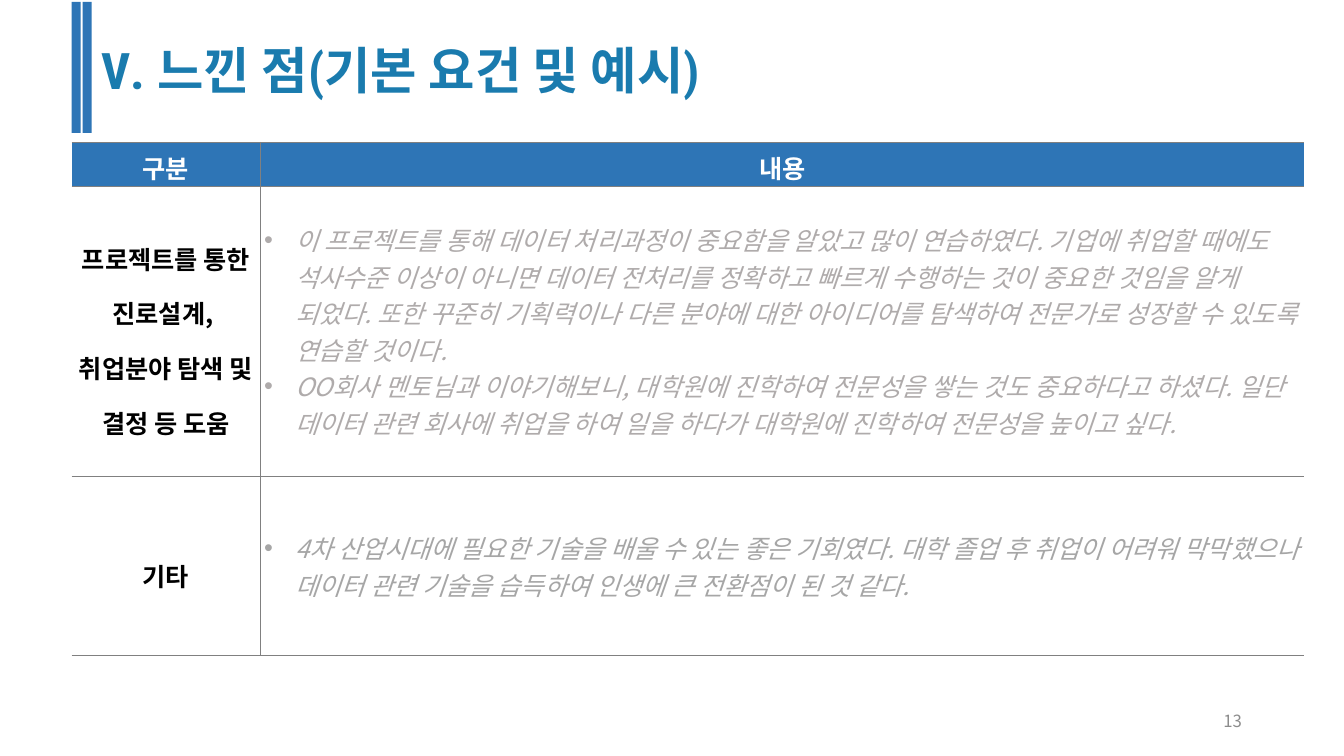
import pptx
import pptx.util
import pptx.dml.color
import pptx.enum.shapes
import pptx.enum.text
import pptx.oxml.ns
import lxml.etree

RGBColor = pptx.dml.color.RGBColor
WHITE = RGBColor(0xFF, 0xFF, 0xFF)
BLACK = RGBColor(0, 0, 0)
BLUE = RGBColor(0x2E, 0x75, 0xB6)
TITLE_BLUE = RGBColor(0x1A, 0x7B, 0xAE)
RULE_GRAY = RGBColor(0x80, 0x80, 0x80)
NOTE_GRAY = RGBColor(0xAF, 0xAB, 0xAB)
ETC_GRAY = RGBColor(0xA6, 0xA6, 0xA6)
PAGE_GRAY = RGBColor(0x8C, 0x8C, 0x8C)

KOREAN = "Noto Sans CJK KR"
CONDENSED = "Roboto Condensed"
ALIGN = pptx.enum.text.PP_ALIGN
ANCHOR = pptx.enum.text.MSO_ANCHOR
qn = pptx.oxml.ns.qn

prs = pptx.Presentation()
prs.slide_width = pptx.util.Inches(13.33)
prs.slide_height = pptx.util.Inches(7.5)
COL = prs.slide_width / 160
ROW = prs.slide_height / 90

HEADER = dict(color=WHITE, bold=True, align=ALIGN.CENTER, spacing=1.2)
LABEL = dict(color=BLACK, bold=True, align=ALIGN.CENTER, spacing=1.5)
NOTE = dict(color=NOTE_GRAY, italic=True, bullet=True)
ETC = dict(NOTE, color=ETC_GRAY)

COL_WIDTHS = [22.44, 124.32]
ROW_HEIGHTS = [4.92, 34.56, 21.36]
TABLE = [
    [(["구분"], HEADER), (["내용"], HEADER)],
    [(["프로젝트를 통한 진로설계, ", "취업분야 탐색 및 결정 등 도움"], LABEL),
     (["이 프로젝트를 통해 데이터 처리과정이 중요함을 알았고 많이 연습하였다. "
       "기업에 취업할 때에도 석사수준 이상이 아니면 데이터 전처리를 정확하고 빠르게 "
       "수행하는 것이 중요한 것임을 알게 되었다. 또한 꾸준히 기획력이나 다른 분야에 대한 "
       "아이디어를 탐색하여 전문가로 성장할 수 있도록 연습할 것이다.",
       "OO회사 멘토님과 이야기해보니, 대학원에 진학하여 전문성을 쌓는 것도 "
       "중요하다고 하셨다. 일단 데이터 관련 회사에 취업을 하여 일을 하다가 "
       "대학원에 진학하여 전문성을 높이고 싶다."], NOTE)],
    [(["기타"], LABEL),
     (["4차 산업시대에 필요한 기술을 배울 수 있는 좋은 기회였다. 대학 졸업 후 취업이 "
       "어려워 막막했으나 데이터 관련 기술을 습득하여 인생에 큰 전환점이 된 것 같다."], ETC)],
]


def grid(x, y, w, h):
    return [int(v) for v in (x * COL, y * ROW, w * COL, h * ROW)]


def set_attrs(obj, **values):
    for name, value in values.items():
        setattr(obj, name, value)


def add_bullet(p):
    pPr = p._p.get_or_add_pPr()
    indent = pptx.util.Inches(0.31)
    pPr.set("marL", str(indent))
    pPr.set("indent", str(-indent))
    lxml.etree.SubElement(pPr, qn("a:buFont"), typeface="Arial")
    lxml.etree.SubElement(pPr, qn("a:buChar"), char="•")


def write(tf, lines, color, size=18, font=KOREAN, bold=False, italic=False,
          align=ALIGN.LEFT, spacing=1.0, bullet=False):
    for i, line in enumerate(lines):
        p = tf.add_paragraph() if i else tf.paragraphs[0]
        set_attrs(p, alignment=align, line_spacing=spacing)
        if bullet:
            add_bullet(p)
        r = p.add_run()
        r.text = line
        set_attrs(r.font, name=font, size=pptx.util.Pt(size), bold=bold, italic=italic)
        r.font.color.rgb = color
        lxml.etree.SubElement(r._r.get_or_add_rPr(), qn("a:ea"), typeface=font)


def add_title(s, box, text):
    title = s.shapes.title
    set_attrs(title, **dict(zip(("left", "top", "width", "height"), box)))
    set_attrs(title.text_frame, word_wrap=True, vertical_anchor=ANCHOR.TOP,
              auto_size=pptx.enum.text.MSO_AUTO_SIZE.NONE)
    write(title.text_frame, [text], TITLE_BLUE, size=36, font=CONDENSED, bold=True)


def add_bars(s, box):
    x, y, w, h = box
    bar_w = int(w * 0.45)
    for left in (x, x + w - bar_w):
        bar = s.shapes.add_shape(pptx.enum.shapes.MSO_SHAPE.RECTANGLE, left, y, bar_w, h)
        bar.shadow.inherit = False
        bar.fill.solid()
        bar.fill.fore_color.rgb = BLUE
        bar.line.fill.background()


def set_borders(cell, **shown):
    tcPr = cell._tc.get_or_add_tcPr()
    for i, (side, visible) in enumerate(shown.items()):
        ln = lxml.etree.Element(qn("a:ln" + side), w=str(pptx.util.Pt(0.5)))
        fill = lxml.etree.SubElement(ln, qn("a:solidFill" if visible else "a:noFill"))
        if visible:
            lxml.etree.SubElement(fill, qn("a:srgbClr"), val=str(RULE_GRAY))
        tcPr.insert(i, ln)


def add_table(s, box, content):
    x, y, w, h = box
    table = s.shapes.add_table(len(content), len(COL_WIDTHS), x, y, w, h).table
    set_attrs(table, first_row=False, horz_banding=False)
    for column, width in zip(table.columns, COL_WIDTHS):
        column.width = int(w * width / sum(COL_WIDTHS))
    for row, height in zip(table.rows, ROW_HEIGHTS):
        row.height = int(h * height / sum(ROW_HEIGHTS))
    for i, row in enumerate(content):
        for j, (lines, style) in enumerate(row):
            cell = table.cell(i, j)
            inset = pptx.util.Inches(0.04) if style.get("bullet") else 0
            set_attrs(cell, margin_left=inset, margin_right=0, margin_top=0,
                      margin_bottom=0, vertical_anchor=ANCHOR.MIDDLE)
            if style is HEADER:
                cell.fill.solid()
                cell.fill.fore_color.rgb = BLUE
            else:
                cell.fill.background()
            set_borders(cell, L=j > 0, R=j < len(row) - 1, T=True, B=True)
            write(cell.text_frame, lines, **style)


def add_page_number(s, box, number):
    tf = s.shapes.add_textbox(*box).text_frame
    set_attrs(tf, word_wrap=True, vertical_anchor=ANCHOR.MIDDLE)
    write(tf, [number], PAGE_GRAY, size=12, align=ALIGN.RIGHT)


def add_reflection_slide():
    s = prs.slides.add_slide(prs.slide_layouts[5])
    add_title(s, grid(10.92, 4.08, 89.28, 8.52), "Ⅴ. 느낀 점(기본 요건 및 예시)")
    add_bars(s, grid(8.52, 0.24, 2.4, 15.6))
    add_table(s, grid(8.52, 16.92, sum(COL_WIDTHS), sum(ROW_HEIGHTS)), TABLE)
    add_page_number(s, grid(113.04, 83.4, 36, 4.8), "13")


add_reflection_slide()
prs.save("out.pptx")
